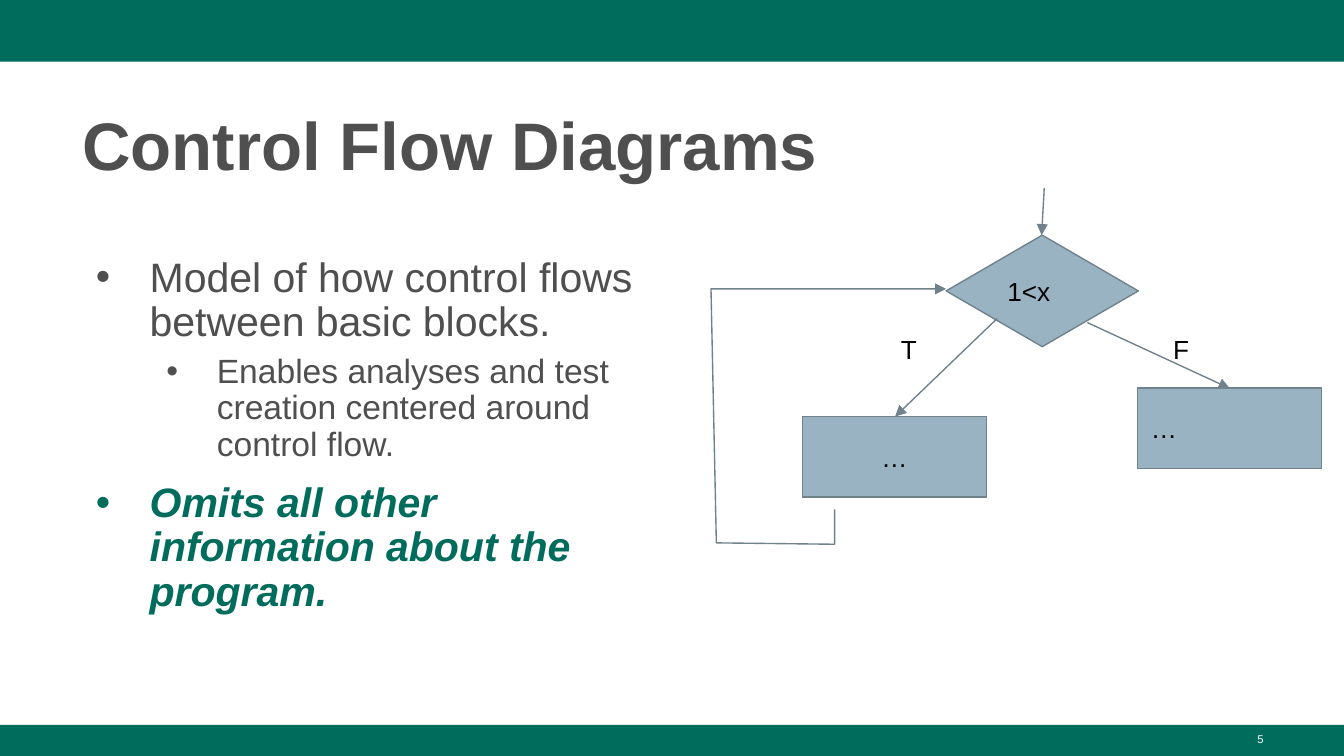
from lxml import etree
from pptx import Presentation
from pptx.dml.color import RGBColor
from pptx.enum.shapes import MSO_CONNECTOR, MSO_SHAPE
from pptx.enum.text import MSO_ANCHOR, PP_ALIGN
from pptx.oxml.ns import qn
from pptx.util import Inches, Pt

RECT, DIAMOND = MSO_SHAPE.RECTANGLE, MSO_SHAPE.DIAMOND
STRAIGHT = MSO_CONNECTOR.STRAIGHT
LEFT, CENTER, RIGHT = PP_ALIGN.LEFT, PP_ALIGN.CENTER, PP_ALIGN.RIGHT
TOP, MIDDLE, BOTTOM = MSO_ANCHOR.TOP, MSO_ANCHOR.MIDDLE, MSO_ANCHOR.BOTTOM

COLORS = {name: RGBColor.from_string(value) for name, value in {
    "green": "006C5C", "gray": "4F4F4F", "node": "99B3C2",
    "edge": "6F828C", "black": "000000", "white": "FFFFFF"}.items()}

# A 16:9 slide
prs = Presentation()
prs.slide_width = Inches(10)
prs.slide_height = prs.slide_width * 9 // 16
slide = prs.slides.add_slide(prs.slide_layouts[6])
shapes = slide.shapes

# Square grid: 100 columns across the slide, 56.25 rows down it
COLUMNS, ROWS = 100, 56.25
CELL = prs.slide_width // COLUMNS


def write(holder, lines, size, color, align=LEFT, anchor=TOP, inset=0.5, bold=False):
    frame = holder.text_frame
    frame.word_wrap = True
    frame.vertical_anchor = anchor
    frame.margin_left = frame.margin_right = CELL
    frame.margin_top = frame.margin_bottom = int(inset * CELL)
    frame.text = "\n".join(lines)
    for paragraph in frame.paragraphs:
        paragraph.alignment = align
        font = paragraph.runs[0].font
        font.name, font.size, font.bold = "Arial", Pt(size), bold
        font.color.rgb = COLORS[color]
    return frame.paragraphs


def style_edge(edge, arrow=True):
    edge.line.color.rgb = COLORS["edge"]
    edge.line.width = Pt(0.75)
    if arrow:
        etree.SubElement(edge.line._get_or_add_ln(), qn("a:tailEnd"), type="triangle")


# Header and footer bands
for top, height in ((0, 4.6), (53.94, ROWS - 53.94)):
    band = shapes.add_shape(RECT, 0, int(top * CELL), COLUMNS * CELL, int(height * CELL))
    band.shadow.inherit = False
    band.fill.solid()
    band.fill.fore_color.rgb = COLORS["green"]
    band.line.fill.background()

# Slide number and title
page_number = shapes.add_textbox(*(int(n * CELL) for n in (71.7, 54, 23.3, 2.3)))
write(page_number, ["5"], 6, "white", align=RIGHT)
title = shapes.add_textbox(*(int(n * CELL) for n in (5.15, 6.9, 89.9, 7.3)))
write(title, ["Control Flow Diagrams"], 36, "gray", anchor=BOTTOM, bold=True)[0].line_spacing = 1.08

# Bulleted points: text, level, size, colour, emphasis
points = [
    ("Model of how control flows between basic blocks.", 0, 22, "gray", False),
    ("Enables analyses and test creation centered around control flow.", 1, 18, "gray", False),
    ("Omits all other information about the program.", 0, 22, "green", True),
]
body = shapes.add_textbox(*(int(n * CELL) for n in (5.15, 18.6, 45.9, 33.5)))
paragraphs = write(body, [point[0] for point in points], 22, "gray")
for paragraph, (_, level, size, color, emphasis) in zip(paragraphs, points):
    paragraph.level = level
    paragraph.line_spacing = 0.9
    paragraph.space_before = Pt(5 if level else 10)
    font = paragraph.runs[0].font
    font.size, font.bold, font.italic = Pt(size), emphasis, emphasis
    font.color.rgb = COLORS[color]
    properties = paragraph._p.get_or_add_pPr()
    properties.set("marL", str(5 * (level + 1) * CELL))
    properties.set("indent", str(int((-3.75 if level else -4) * CELL)))
    bullet_color = etree.SubElement(properties, qn("a:buClr"))
    etree.SubElement(bullet_color, qn("a:srgbClr"), val=str(COLORS[color]))
    etree.SubElement(properties, qn("a:buFont"), typeface="Arial")
    etree.SubElement(properties, qn("a:buChar"), char="•")

# Flow nodes: the two branches and the decision
for kind, label, align, box in (
    (RECT, "…", CENTER, (59.7, 31, 13.7, 6)),
    (RECT, "…", LEFT, (84.65, 28.87, 13.7, 6)),
    (DIAMOND, "1<x", LEFT, (70.4, 17.5, 14.3, 8.3)),
):
    node = shapes.add_shape(kind, *(int(n * CELL) for n in box))
    node.shadow.inherit = False
    node.fill.solid()
    node.fill.fore_color.rgb = COLORS["node"]
    style_edge(node, arrow=False)
    write(node, [label], 14, "black", align=align, anchor=MIDDLE, inset=1)

# Arrows: false branch, true branch, entry
for ends in ((80.9, 24, 91.5, 28.9), (74.2, 23.7, 66.6, 31), (77.7, 14, 77.5, 17.5)):
    arrow = shapes.add_connector(STRAIGHT, *(int(n * CELL) for n in ends))
    style_edge(arrow)
    etree.SubElement(arrow._element.spPr, qn("a:effectLst"))

# Branch labels
for label, left in (("T", 66.05), ("F", 86.3)):
    branch = shapes.add_textbox(*(int(n * CELL) for n in (left, 23.8, 4.4, 2.2)))
    write(branch, [label], 14, "black", inset=1)

# Loop back from the true branch to the decision, in tenths of a cell
outline = shapes.build_freeform(621, 379, scale=CELL / 10)
outline.add_line_segments([(621, 405), (533, 404), (529, 215), (704, 215)], close=False)
loop = outline.convert_to_shape()
loop.shadow.inherit = False
loop.fill.background()
style_edge(loop)

prs.save("out.pptx")
